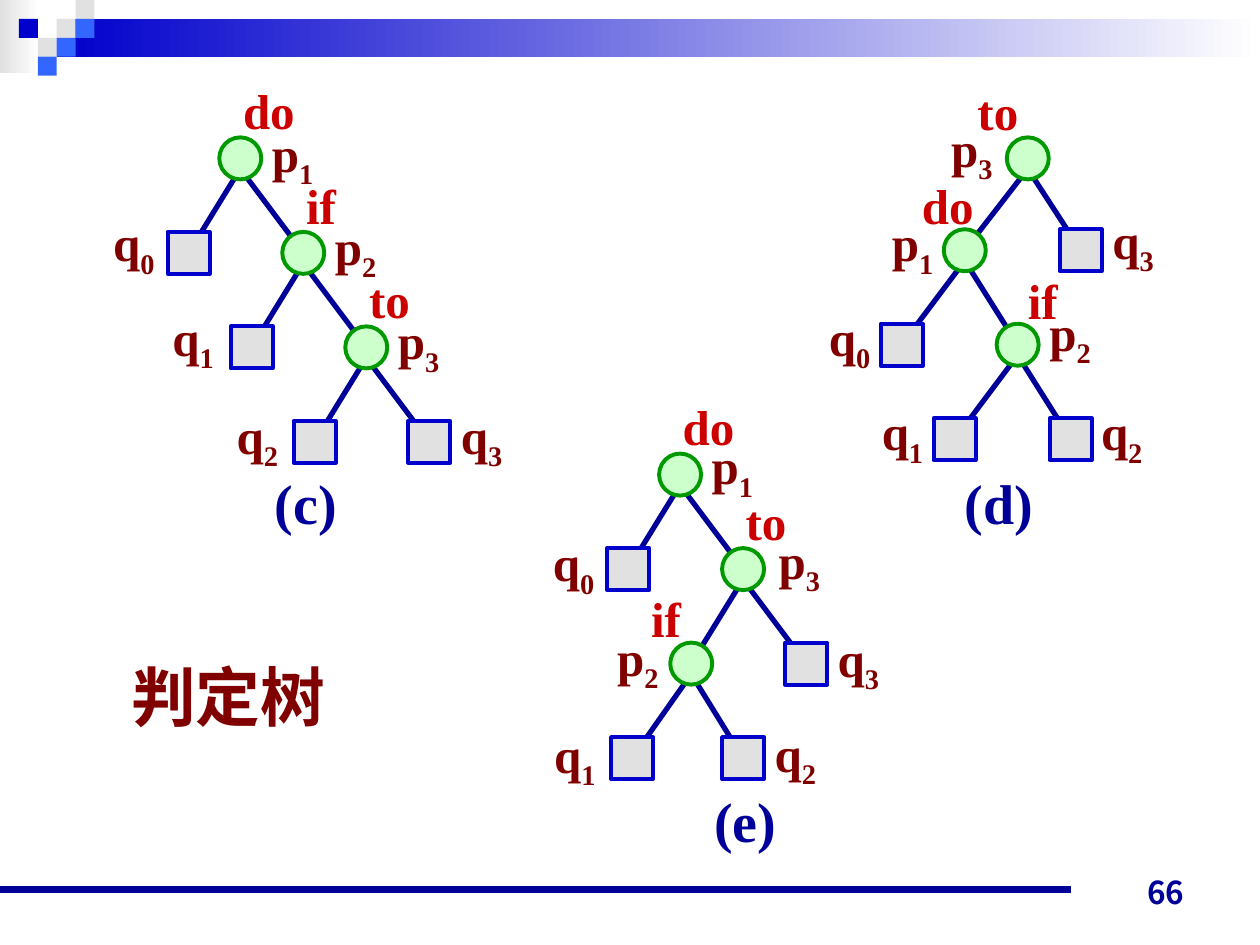
from dataclasses import dataclass

from lxml.etree import SubElement
from pptx import Presentation
from pptx.dml.color import RGBColor
from pptx.enum.shapes import MSO_CONNECTOR, MSO_SHAPE
from pptx.enum.text import MSO_ANCHOR, MSO_AUTO_SIZE, PP_ALIGN
from pptx.oxml.ns import qn
from pptx.util import Pt


@dataclass(frozen=True)
class Theme:
    navy: str = "000099"
    royal: str = "0000CC"
    sky: str = "3366FF"
    grey: str = "E1E1E1"
    white: str = "FFFFFF"
    green: str = "009900"
    mint: str = "CCFFCC"
    red: str = "CC0000"
    maroon: str = "800000"
    serif: str = "Times New Roman"
    sans: str = "Arial"
    number_font: str = "Noto Sans CJK JP"
    label_size: int = 28
    caption_size: int = 32
    heading_size: int = 37
    number_size: int = 18


THEME = Theme()
HEADING = "判定树"
PAGE_NUMBER = "66"
NODE_SIZE = 24
EDGE_DROP = 6  # edges leave a node a little below its centre
CELL = 10.8
LABEL_BOX = (39, 45)
KEYWORD_BOXES = {"do": (45, 41), "if": (33, 41), "to": (39, 41)}
CAPTION_BOX = (55, 46)

# Each tree: caption, caption position,
# nodes as name: (parent, node position, label position),
# keywords as (word, position). Positions are left and top in points.
TREES = [
    ("(c)", (149.8, 264.2),
     {"p1": (None, (125.3, 78.5), (148.3, 67)),
      "p2": ("p1", (161.3, 132.5), (184.3, 120.2)),
      "p3": ("p2", (197.3, 186.5), (220.3, 174.2)),
      "q0": ("p1", (95.8, 132.5), (57.6, 118.1)),
      "q1": ("p2", (131.8, 186.5), (91.4, 172.1)),
      "q2": ("p3", (167.8, 240.5), (128.2, 228.2)),
      "q3": ("p3", (233.3, 240.5), (256.3, 228.2))},
     [("do", (131.8, 42.5)), ("if", (167.8, 96.5)), ("to", (203.8, 150.5))]),
    ("(d)", (544.3, 264.2),
     {"p3": (None, (575.3, 78.5), (536.4, 64.1)),
      "p1": ("p3", (539.3, 131), (502.6, 118.1)),
      "p2": ("p1", (569.5, 185), (592.6, 169.2)),
      "q0": ("p1", (503.3, 185), (466.6, 172.1)),
      "q1": ("p2", (533.5, 239), (496.8, 226.1)),
      "q2": ("p2", (599.8, 239), (622.1, 226.1)),
      "q3": ("p3", (605.5, 131), (628.6, 116.6))},
     [("to", (551.5, 43.2)), ("do", (519.8, 96.5)), ("if", (580.3, 151.2))]),
    ("(e)", (401, 445.7),
     {"p1": (None, (376.6, 259.2), (399.6, 245.5)),
      "p3": ("p1", (412.6, 313.2), (437.8, 299.5)),
      "p2": ("p3", (383, 367.2), (345.6, 355)),
      "q0": ("p1", (347, 313.2), (308.9, 301)),
      "q1": ("p2", (349.2, 421.2), (309.6, 410.4)),
      "q2": ("p2", (412.6, 421.2), (435.6, 409.7)),
      "q3": ("p3", (448.6, 367.2), (471.6, 355.7))},
     [("do", (383, 223.2)), ("to", (419, 277.2)), ("if", (365, 332.6))]),
]

# Header squares as (column, row, colour)
SQUARES = [
    (3, 1, THEME.grey), (4, 0, THEME.grey), (4, 1, THEME.sky),
    (2, 2, THEME.grey), (1, 1, THEME.royal), (3, 2, THEME.sky),
    (2, 3, THEME.sky),
]
# Header fades as (left, top, width, height, start colour)
FADES = [(0, 0, 22.3, 41.8, THEME.grey), (32.4, 10.8, 687.6, 21.6, THEME.royal)]


def points(values):
    return [Pt(value) for value in values]


def style_font(font, name, size, color):
    font.name, font.size, font.bold = name, Pt(size), True
    font.color.rgb = RGBColor.from_string(color)


def add_block(shapes, kind, box, fill=None, line=None):
    shape = shapes.add_shape(kind, *points(box))
    shape.shadow.inherit = False
    if fill:
        shape.fill.solid()
        shape.fill.fore_color.rgb = RGBColor.from_string(fill)
    if line:
        shape.line.color.rgb = RGBColor.from_string(line)
        shape.line.width = Pt(2.25)
    else:
        shape.line.fill.background()
    return shape


def add_line(shapes, start, end, width):
    line = shapes.add_connector(MSO_CONNECTOR.STRAIGHT, *points(start + end))
    line.line.color.rgb = RGBColor.from_string(THEME.navy)
    line.line.width = Pt(width)
    SubElement(line._element.spPr, qn("a:effectLst"))


def add_text(shapes, position, box, text, size, color, subscript=None):
    text_box = shapes.add_textbox(*points(position + box))
    frame = text_box.text_frame
    frame.word_wrap = False
    frame.auto_size = MSO_AUTO_SIZE.SHAPE_TO_FIT_TEXT
    paragraph = frame.paragraphs[0]
    paragraph.alignment = PP_ALIGN.LEFT
    paragraph.add_run().text = text
    if subscript:
        run = paragraph.add_run()
        run.text = subscript
        run.font._element.set("baseline", "-25000")
    style_font(paragraph.font, THEME.serif, size, color)


def add_tree(slide, caption, caption_position, nodes, keywords):
    shapes = slide.shapes.add_group_shape().shapes
    half = NODE_SIZE / 2
    # Edges lie behind the nodes
    for parent, (left, top), _ in nodes.values():
        if parent:
            parent_left, parent_top = nodes[parent][1]
            start = (parent_left + half, parent_top + half + EDGE_DROP)
            add_line(shapes, start, (left + half, top + half), 3)
    # Inner nodes p are circles, leaves q are squares
    for name, (_, position, label_position) in nodes.items():
        box = position + (NODE_SIZE, NODE_SIZE)
        if name.startswith("p"):
            add_block(shapes, MSO_SHAPE.OVAL, box, THEME.mint, THEME.green)
        else:
            add_block(shapes, MSO_SHAPE.RECTANGLE, box, THEME.grey, THEME.royal)
        add_text(shapes, label_position, LABEL_BOX, name[0],
                 THEME.label_size, THEME.maroon, subscript=name[1])
    for word, position in keywords:
        add_text(shapes, position, KEYWORD_BOXES[word], word,
                 THEME.label_size, THEME.red)
    add_text(shapes, caption_position, CAPTION_BOX, caption,
             THEME.caption_size, THEME.navy)


def add_frame(slide):
    # Header band and squares
    for *box, color in FADES:
        fade = add_block(slide.shapes, MSO_SHAPE.RECTANGLE, box)
        fade.fill.gradient()
        fade.fill.gradient_angle = 0
        for stop, place, shade in zip(fade.fill.gradient_stops, (0, 1),
                                      (color, THEME.white)):
            stop.position = place
            stop.color.rgb = RGBColor.from_string(shade)
    for column, row, color in SQUARES:
        box = (column * CELL, row * CELL, CELL, CELL)
        add_block(slide.shapes, MSO_SHAPE.RECTANGLE, box, color)
    # Footer rule and page number
    add_line(slide.shapes, (0, 508.3), (612, 508.3), 4.5)
    number = slide.shapes.add_textbox(*points((516.2, 488.2, 167.8, 36)))
    number.text_frame.word_wrap = True
    number.text_frame.vertical_anchor = MSO_ANCHOR.BOTTOM
    paragraph = number.text_frame.paragraphs[0]
    paragraph.text = PAGE_NUMBER
    paragraph.alignment = PP_ALIGN.RIGHT
    style_font(paragraph.font, THEME.number_font, THEME.number_size, THEME.navy)


def add_heading(slide):
    body = slide.placeholders[1]
    body.left, body.top, body.width, body.height = points((67.7, 371.5, 190, 54))
    body.text_frame.auto_size = MSO_AUTO_SIZE.NONE
    paragraph = body.text_frame.paragraphs[0]
    paragraph.text = HEADING
    paragraph.space_before = Pt(0)
    properties = paragraph._p.get_or_add_pPr()
    properties.set("marL", "0")
    properties.set("indent", "0")
    SubElement(properties, qn("a:buNone"))
    style_font(paragraph.font, THEME.sans, THEME.heading_size, THEME.maroon)


def main():
    presentation = Presentation()
    presentation.slide_width, presentation.slide_height = Pt(720), Pt(540)
    slide = presentation.slides.add_slide(presentation.slide_layouts[1])
    title = slide.shapes.title._element
    title.getparent().remove(title)
    add_frame(slide)
    add_heading(slide)
    for tree in TREES:
        add_tree(slide, *tree)
    presentation.save("out.pptx")


if __name__ == "__main__":
    main()
